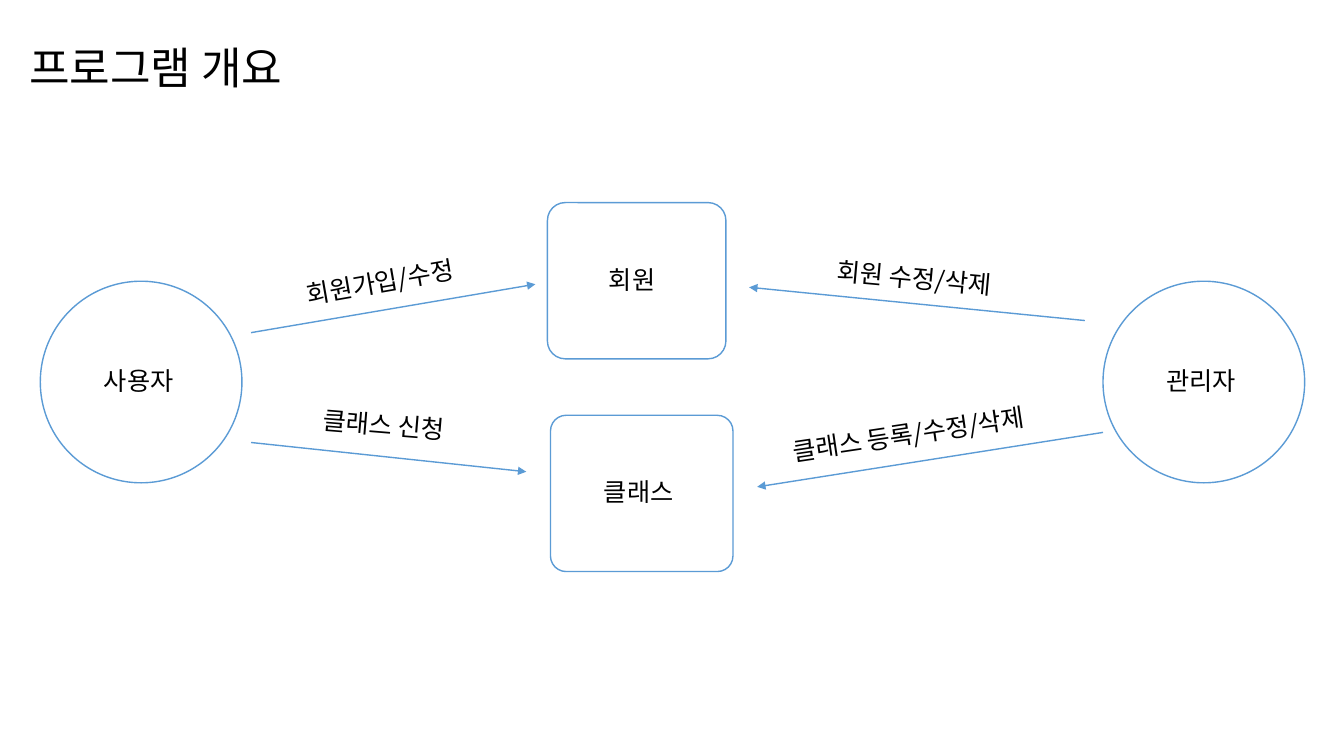
from lxml.etree import SubElement
from pptx import Presentation
from pptx.dml.color import RGBColor
from pptx.enum.shapes import MSO_CONNECTOR, MSO_SHAPE
from pptx.enum.text import MSO_ANCHOR, PP_ALIGN
from pptx.oxml.ns import qn
from pptx.util import Inches, Pt

BLACK = RGBColor(0x00, 0x00, 0x00)
WHITE = RGBColor(0xFF, 0xFF, 0xFF)
BLUE = RGBColor(0x5B, 0x9B, 0xD5)
FONT = "Noto Sans CJK KR"

# Content
TITLE = "프로그램 개요"
ROUND, OVAL = MSO_SHAPE.ROUNDED_RECTANGLE, MSO_SHAPE.OVAL
# preset, left, top, width, height, corner
NODES = [
    (ROUND, 5.43, 2.01, 1.77, 1.55, 0.114),
    (ROUND, 5.46, 4.12, 1.81, 1.55, 0.1),
    (OVAL, 10.94, 2.79, 2, 2, None),
    (OVAL, 0.4, 2.79, 2, 2, None),
]
# text, left, top, width, rotation
LABELS = [
    ("회원", 5.99, 2.57, 0.74, 0),
    ("클래스", 5.94, 4.68, 0.86, 0),
    ("관리자", 11.52, 3.58, 0.93, 0),
    ("사용자", 0.98, 3.58, 1.02, 0),
    ("회원가입/수정", 2.98, 2.57, 1.89, -9.9),
    ("클래스 신청", 3.15, 4.02, 1.55, 4.8),
    ("회원 수정/삭제", 8.25, 2.57, 1.97, 5.2),
    ("클래스 등록/수정/삭제", 7.8, 4.08, 2.76, -8.6),
]
LABEL_HEIGHT = 0.43
# start x, start y, end x, end y
ARROWS = [
    (2.49, 3.3, 5.31, 2.82),
    (2.49, 4.39, 5.22, 4.68),
    (10.76, 3.18, 7.43, 2.85),
    (10.94, 4.29, 7.51, 4.83),
]


def write(sp, text, size=18, anchor=MSO_ANCHOR.TOP, spacing=None):
    tf = sp.text_frame
    tf.word_wrap = True
    tf.vertical_anchor = anchor
    tf.margin_left = tf.margin_right = Inches(0.05)
    tf.margin_top = tf.margin_bottom = Inches(0.05)
    p = tf.paragraphs[0]
    p.alignment = PP_ALIGN.LEFT
    p.line_spacing = spacing
    r = p.add_run()
    r.text = text
    r.font.size = Pt(size)
    r.font.name = FONT
    r.font.color.rgb = BLACK
    SubElement(r.font._element, qn("a:ea"), typeface=FONT)


prs = Presentation()
prs.slide_width, prs.slide_height = Inches(13.33), Inches(7.5)
slide = prs.slides.add_slide(prs.slide_layouts[5])
shapes = slide.shapes

# Title
title = shapes.title
title.left, title.top = Inches(0.24), Inches(0.19)
title.width, title.height = Inches(3.09), Inches(1.01)
write(title, TITLE, size=31.5, anchor=MSO_ANCHOR.MIDDLE, spacing=0.9)

# People and data boxes
for preset, *box, corner in NODES:
    sp = shapes.add_shape(preset, *map(Inches, box))
    if corner:
        sp.adjustments[0] = corner
    sp.shadow.inherit = False
    sp.fill.solid()
    sp.fill.fore_color.rgb = WHITE
    sp.line.color.rgb = BLUE
    sp.line.width = Pt(1)

# Names and actions
for text, left, top, width, rotation in LABELS:
    sp = shapes.add_textbox(*map(Inches, (left, top, width, LABEL_HEIGHT)))
    sp.rotation = rotation
    write(sp, text)

# Arrows
for ends in ARROWS:
    arrow = shapes.add_connector(MSO_CONNECTOR.STRAIGHT, *map(Inches, ends))
    arrow.line.color.rgb = BLUE
    arrow.line.width = Pt(1)
    SubElement(arrow.line._get_or_add_ln(), qn("a:tailEnd"), type="triangle")
    SubElement(arrow._element.spPr, qn("a:effectLst"))

prs.save("out.pptx")
